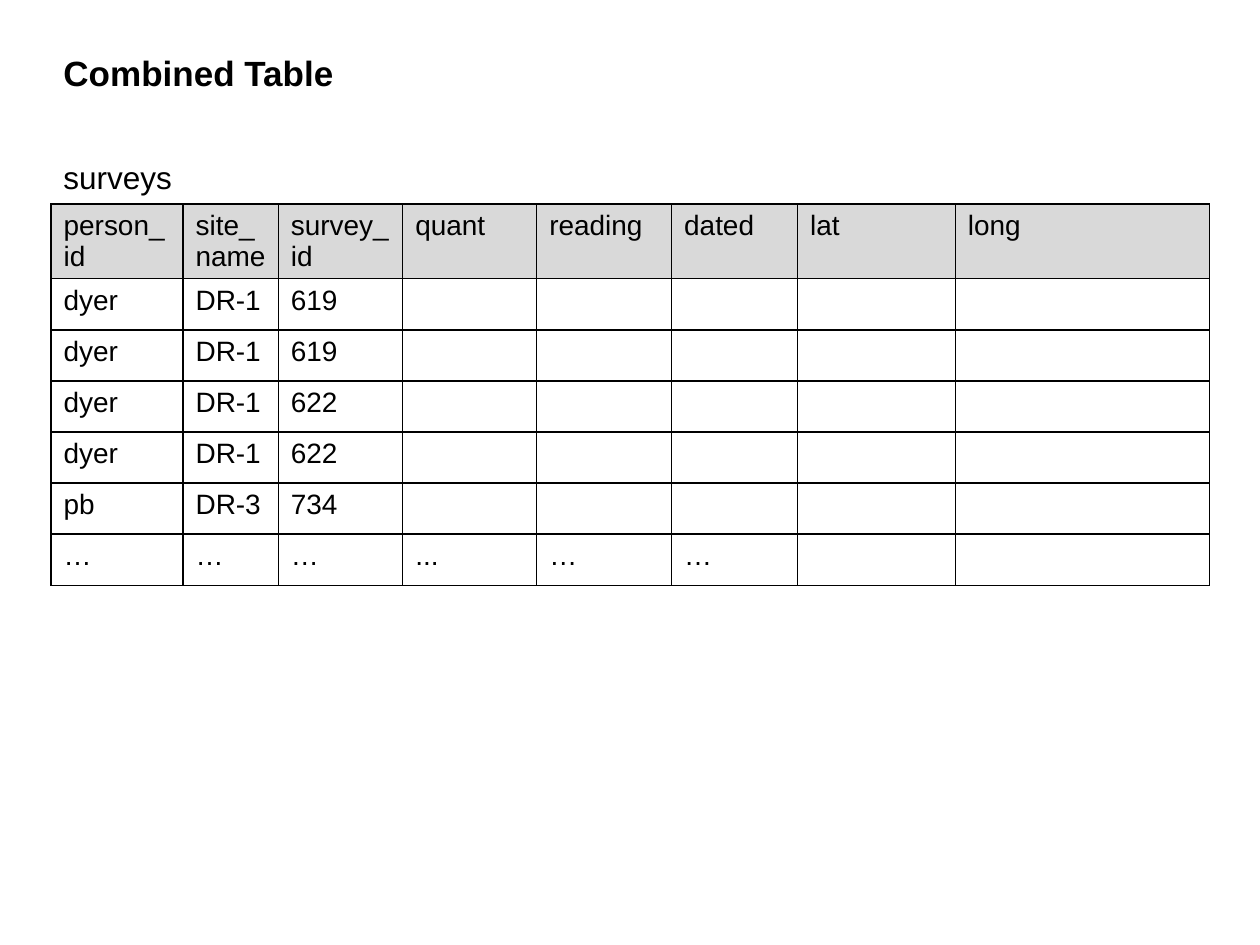
from lxml import etree
from pptx import Presentation
from pptx.dml.color import RGBColor
from pptx.enum.text import MSO_AUTO_SIZE
from pptx.oxml.ns import qn
from pptx.util import Cm, Pt

FIT_SHAPE = MSO_AUTO_SIZE.SHAPE_TO_FIT_TEXT
BLACK = "000000"
GREY = "D9D9D9"
LEFT = 1.03
COLUMN_WIDTHS = [2.66, 1.92, 2.51, 2.7, 2.72, 2.54, 3.18, 5.12]
ROW_HEIGHT = 1.03
HEADERS = ["person_\nid", "site_name", "survey_id", "quant",
           "reading", "dated", "lat", "long"]
RECORDS = [
    ["dyer", "DR-1", "619"],
    ["dyer", "DR-1", "619"],
    ["dyer", "DR-1", "622"],
    ["dyer", "DR-1", "622"],
    ["pb", "DR-3", "734"],
    ["…", "…", "…", "...", "…", "…"],
]


def color(value):
    return RGBColor.from_string(value)


class SlideBuilder:
    font_name = "Arial"
    border_width = Pt(1)

    def __init__(self, slide):
        self.slide = slide

    def style_text(self, text_frame, size, bold=False):
        for paragraph in text_frame.paragraphs:
            font = paragraph.font
            font.name = self.font_name
            font.size = Pt(size)
            font.bold = bold
            font.color.rgb = color(BLACK)

    def text(self, content, left, top, width, height, size, bold=False):
        shape = self.slide.shapes.add_textbox(Cm(left), Cm(top), Cm(width), Cm(height))
        text_frame = shape.text_frame
        text_frame.word_wrap = True
        text_frame.auto_size = FIT_SHAPE
        text_frame.text = content
        self.style_text(text_frame, size, bold)

    def border(self, cell):
        properties = cell._tc.get_or_add_tcPr()
        for index, side in enumerate(("a:lnL", "a:lnR", "a:lnT", "a:lnB")):
            line = etree.Element(qn(side), w=str(self.border_width))
            fill = etree.SubElement(line, qn("a:solidFill"))
            etree.SubElement(fill, qn("a:srgbClr"), val=BLACK)
            properties.insert(index, line)

    def table(self, rows, left, top, widths, row_height, size):
        shape = self.slide.shapes.add_table(
            len(rows), len(widths), Cm(left), Cm(top),
            Cm(sum(widths)), Cm(row_height * len(rows)))
        table = shape.table
        table.horz_banding = False
        table.first_row = False
        for column, width in zip(table.columns, widths):
            column.width = Cm(width)
        for row_index, values in enumerate(rows):
            table.rows[row_index].height = Cm(row_height)
            for column_index in range(len(widths)):
                cell = table.cell(row_index, column_index)
                if column_index < len(values):
                    cell.text = values[column_index]
                self.style_text(cell.text_frame, size)
                if row_index == 0:
                    cell.fill.solid()
                    cell.fill.fore_color.rgb = color(GREY)
                else:
                    cell.fill.background()
                self.border(cell)


presentation = Presentation()
presentation.slide_width = Cm(25.4)
presentation.slide_height = Cm(19.05)
builder = SlideBuilder(presentation.slides.add_slide(presentation.slide_layouts[6]))
builder.table([HEADERS] + RECORDS, LEFT, 4.11, COLUMN_WIDTHS, ROW_HEIGHT, 16)
builder.text("surveys", LEFT, 3.07, 8.33, 1.03, 18)
builder.text("Combined Table", LEFT, 0.91, 14.91, 1.11, 20, bold=True)
presentation.save("out.pptx")
